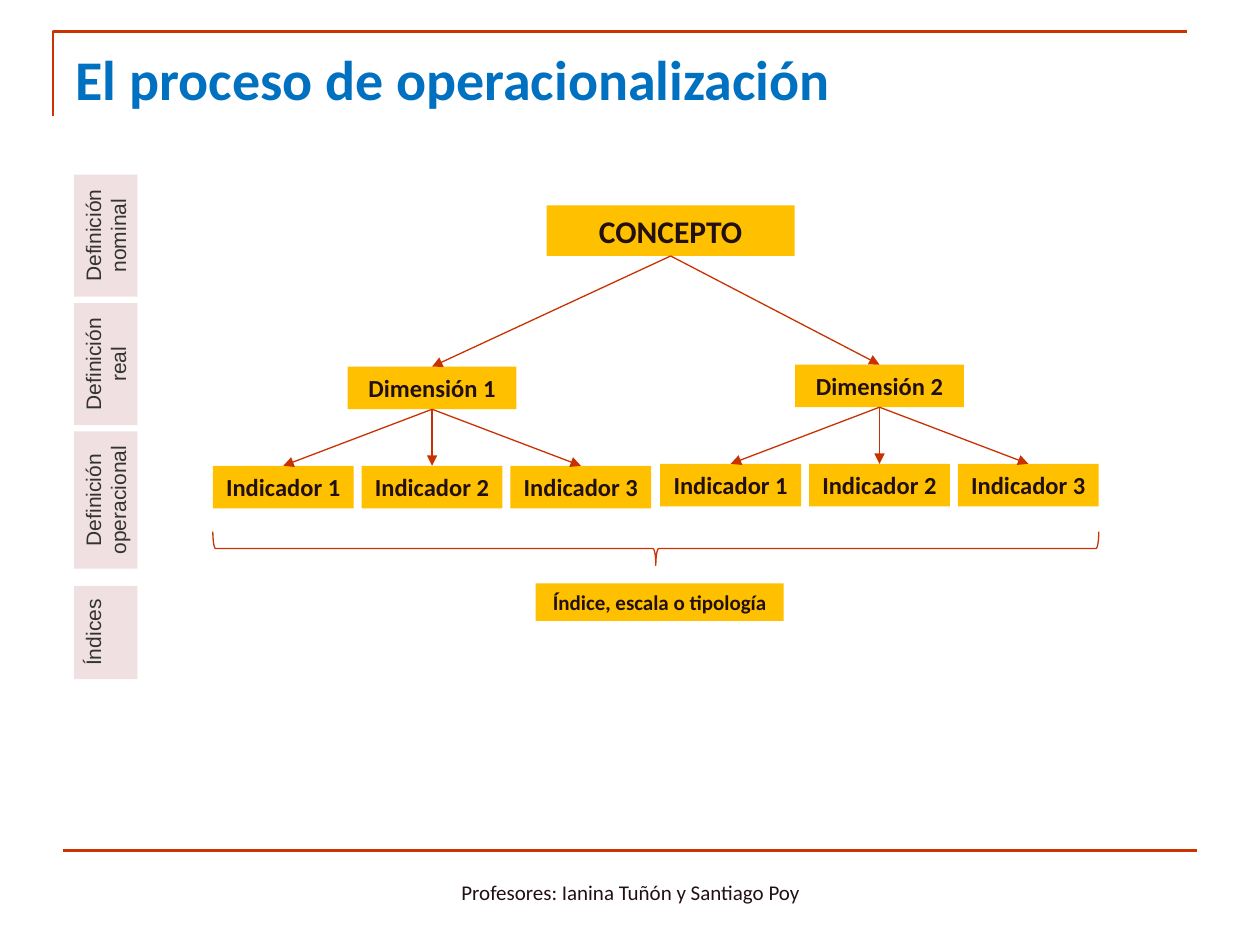
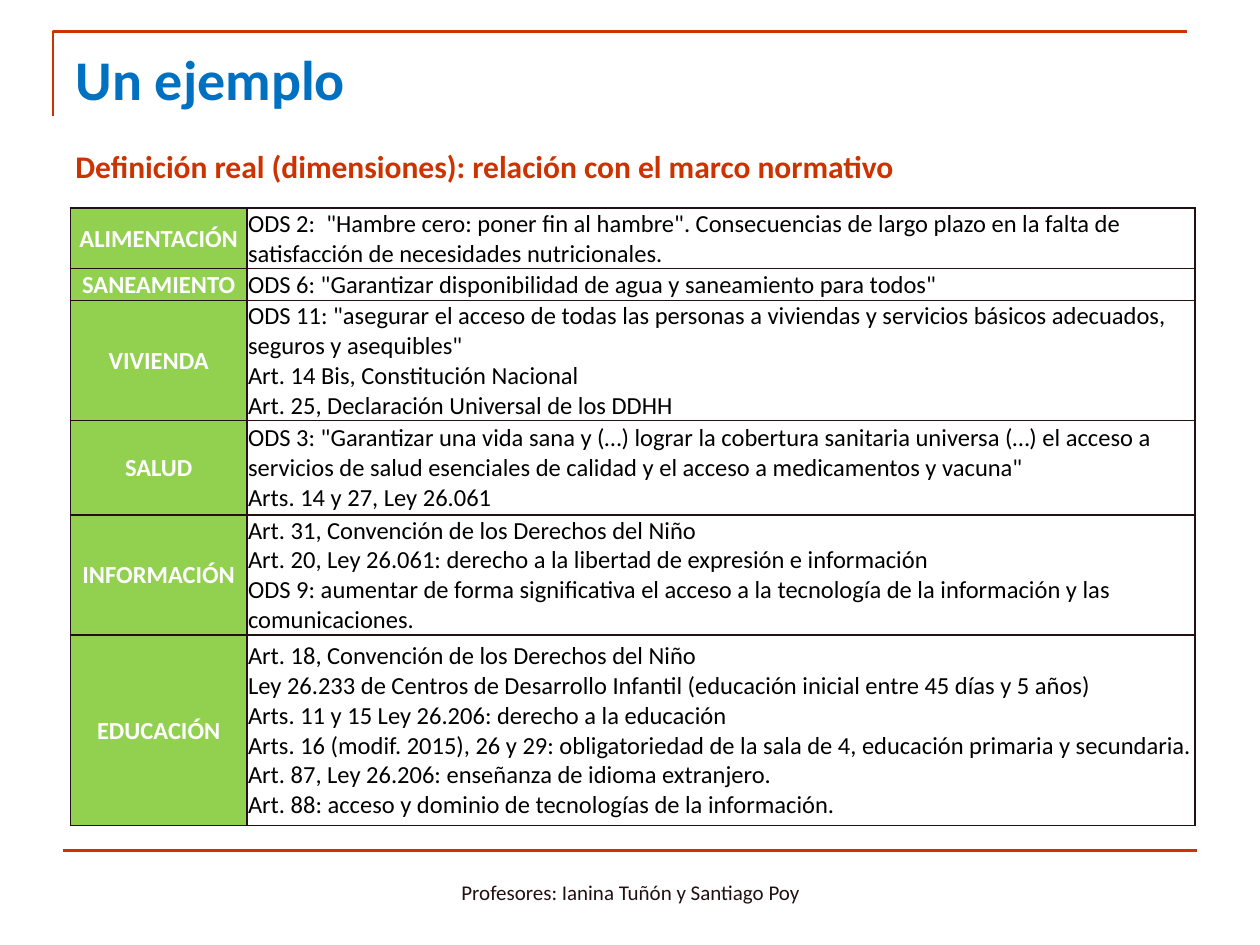
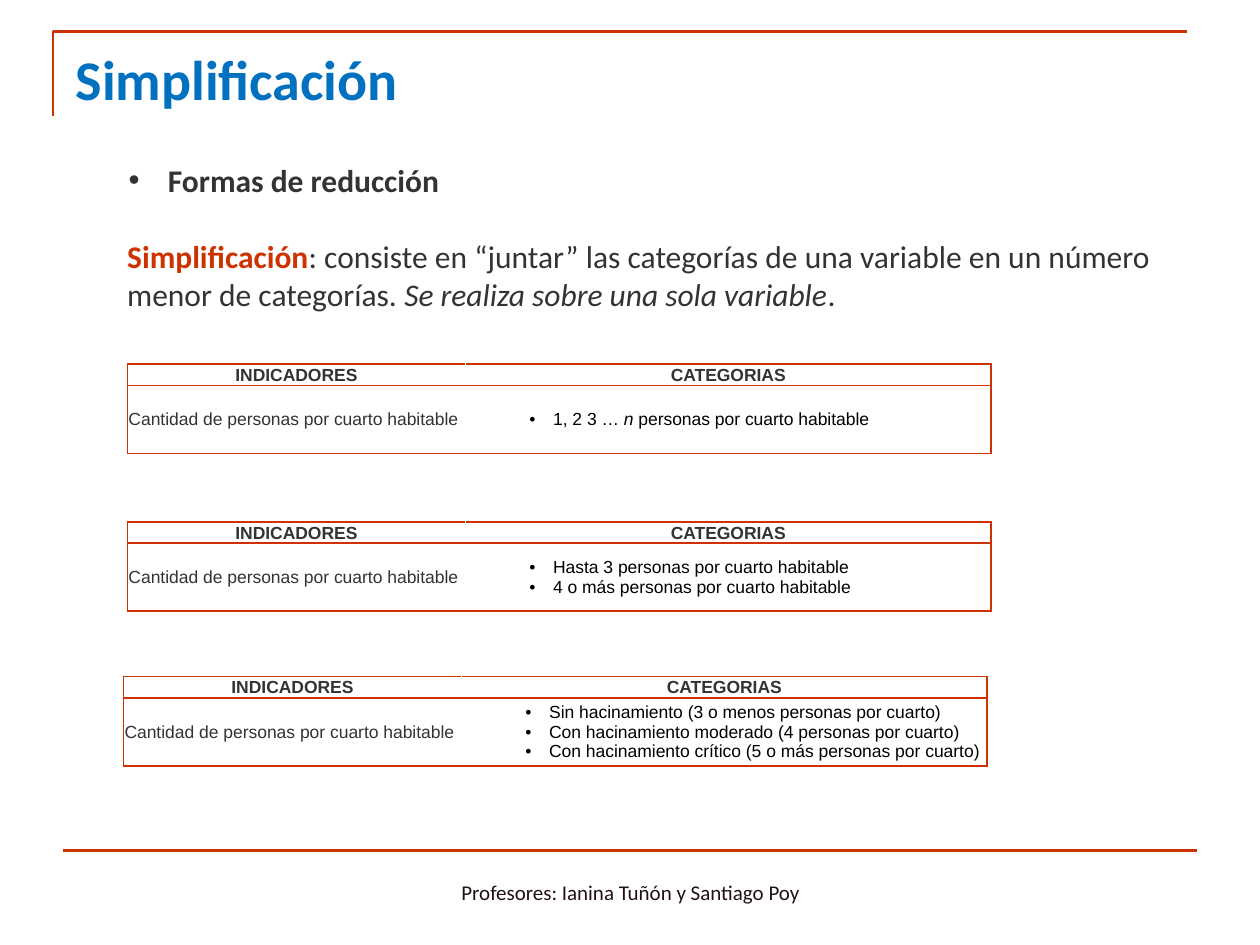
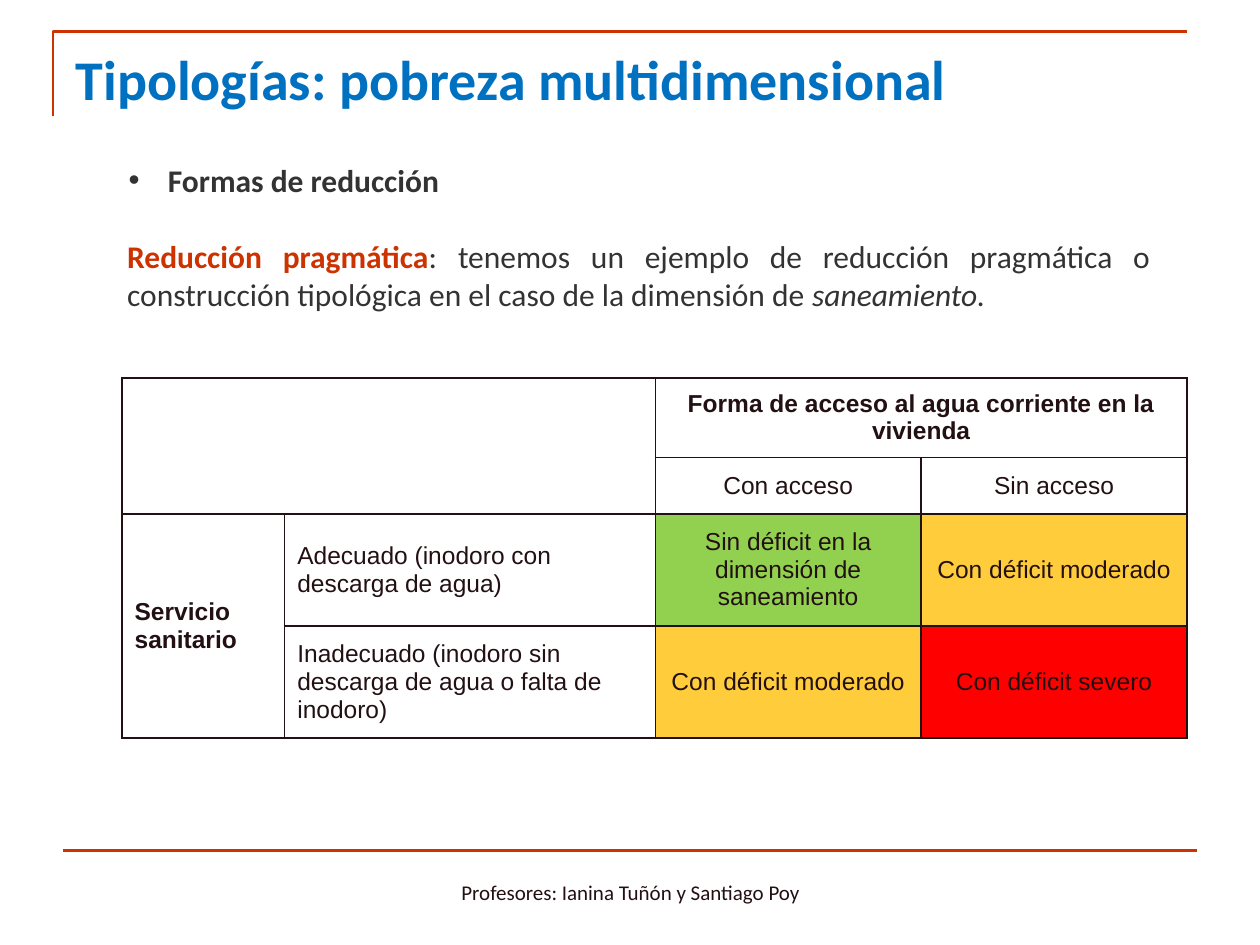
import copy

from pptx import Presentation
from pptx import util as u
from pptx.dml.color import RGBColor
from pptx.enum import shapes, text
from pptx.oxml import parse_xml
from pptx.oxml.ns import nsdecls, qn

# Shared look
RED = RGBColor(0xCC, 0x33, 0x00)
ARROW_RED = RGBColor(0xC8, 0x32, 0x00)
BLUE = RGBColor(0x00, 0x70, 0xC0)
DARK = RGBColor(0x22, 0x10, 0x13)
GREY = RGBColor(0x33, 0x33, 0x33)
BLACK = RGBColor(0, 0, 0)
WHITE = RGBColor(0xFF, 0xFF, 0xFF)
GOLD = RGBColor(0xFF, 0xC0, 0x00)
AMBER = RGBColor(0xFF, 0xCD, 0x3C)
GREEN = RGBColor(0x92, 0xD0, 0x50)
ALERT = RGBColor(0xFF, 0, 0)
PINK = RGBColor(0xF0, 0xE0, 0xE2)
LEFT, CENTER, JUSTIFY = (text.PP_ALIGN.LEFT, text.PP_ALIGN.CENTER,
                         text.PP_ALIGN.JUSTIFY)
MIDDLE, TOP = text.MSO_ANCHOR.MIDDLE, text.MSO_ANCHOR.TOP

TITLE = dict(name="Calibri", size=32, bold=True, color=BLUE)
SUBTITLE = dict(name="Calibri", size=18, bold=True, color=RED)
BODY = dict(name="Calibri", size=18, bold=False, color=GREY)
FOOTER = dict(name="Calibri", size=12, color=DARK)
NODE = dict(name="Calibri", size=14, bold=True, color=DARK)
STEP = dict(name="Arial", size=12, color=GREY)
NORM = dict(name="Calibri", size=14, bold=False, color=BLACK)
SMALL = dict(name="Arial", size=10, bold=False, color=GREY)
GRID = dict(name="Arial", size=14, bold=False, color=DARK)
STRONG, ITALIC = dict(bold=True), dict(italic=True)
KEYWORD = dict(bold=True, color=RED)

# Content, lengths in centimetres
TITLES = ["El proceso de operacionalización", "Un ejemplo", "Simplificación",
          "Tipologías: pobreza multidimensional"]
FOOTER_TEXT = "Profesores: Ianina Tuñón y Santiago Poy"

STEPS = [  # lines, centre y, length
    (["Definición", "nominal"], 4.75, 2.46),
    (["Definición", "real"], 7.34, 2.46),
    (["Definición", "operacional"], 10.08, 2.77),
    (["Índices"], 12.75, 1.88),
]
DIMENSIONS = [("Dimensión 1", 8.71, 7.39), ("Dimensión 2", 17.73, 7.35)]
INDICATORS = ["Indicador 1", "Indicador 2", "Indicador 3"]

SUBTITLE_TEXT = "Definición real (dimensiones): relación con el marco normativo"
NORMS = [  # dimension, rules, row height
    ("ALIMENTACIÓN", "ODS 2:  \"Hambre cero: poner fin al hambre\". Consecuencias de "
     "largo plazo en la falta de satisfacción de necesidades nutricionales.", 1.19),
    ("SANEAMIENTO", "ODS 6: \"Garantizar disponibilidad de agua y saneamiento "
     "para todos\"", 0.64),
    ("VIVIENDA", "ODS 11: \"asegurar el acceso de todas las personas a viviendas y "
     "servicios básicos adecuados, seguros y asequibles\"\n"
     "Art. 14 Bis, Constitución Nacional\n"
     "Art. 25, Declaración Universal de los DDHH", 2.39),
    ("SALUD", "ODS 3: \"Garantizar una vida sana y (…) lograr la cobertura sanitaria "
     "universa (…) el acceso a servicios de salud esenciales de calidad y el acceso "
     "a medicamentos y vacuna\"\nArts. 14 y 27, Ley 26.061", 1.9),
    ("INFORMACIÓN", "Art. 31, Convención de los Derechos del Niño\n"
     "Art. 20, Ley 26.061: derecho a la libertad de expresión e información\n"
     "ODS 9: aumentar de forma significativa el acceso a la tecnología de la "
     "información y las comunicaciones.", 2.39),
    ("EDUCACIÓN", "Art. 18, Convención de los Derechos del Niño\n"
     "Ley 26.233 de Centros de Desarrollo Infantil (educación inicial entre 45 días "
     "y 5 años)\n"
     "Arts. 11 y 15 Ley 26.206: derecho a la educación\n"
     "Arts. 16 (modif. 2015), 26 y 29: obligatoriedad de la sala de 4, educación "
     "primaria y secundaria.\n"
     "Art. 87, Ley 26.206: enseñanza de idioma extranjero.\n"
     "Art. 88: acceso y dominio de tecnologías de la información.", 3.84),
]

REDUCTION = [("Formas de reducción", STRONG)]
SIMPLIFYING = [
    ("Simplificación", KEYWORD),
    (": consiste en “juntar” las categorías de una variable en un número menor de "
     "categorías. ", {}),
    ("Se realiza sobre una sola variable", ITALIC), (".", {}),
]
PRAGMATIC = [
    ("Reducción pragmática", KEYWORD),
    (": tenemos un ejemplo de reducción pragmática o construcción tipológica en el "
     "caso de la dimensión de ", {}),
    ("saneamiento.", ITALIC),
]
CATEGORIES = [  # left, top, categories
    (2.57, 7.34, [[("1, 2 3 … ", {}), ("n", ITALIC),
                   (" personas por cuarto habitable", {})]]),
    (2.57, 10.52, ["Hasta 3 personas por cuarto habitable",
                   "4 o más personas por cuarto habitable"]),
    (2.49, 13.64, ["Sin hacinamiento (3 o menos personas por cuarto)",
                   "Con hacinamiento moderado (4 personas por cuarto)",
                   "Con hacinamiento crítico (5 o más personas por cuarto)"]),
]
TYPOLOGY = [  # row, column, words, alignment, fill, bold
    (0, 2, "Forma de acceso al agua corriente en la vivienda", CENTER, WHITE, True),
    (1, 2, "Con acceso", CENTER, WHITE, False),
    (1, 3, "Sin acceso", CENTER, WHITE, False),
    (2, 0, "Servicio sanitario", LEFT, WHITE, True),
    (2, 1, "Adecuado (inodoro con descarga de agua)", LEFT, WHITE, False),
    (2, 2, "Sin déficit en la dimensión de saneamiento", CENTER, GREEN, False),
    (2, 3, "Con déficit moderado", CENTER, AMBER, False),
    (3, 1, "Inadecuado (inodoro sin descarga de agua o falta de inodoro)",
     LEFT, WHITE, False),
    (3, 2, "Con déficit moderado", CENTER, AMBER, False),
    (3, 3, "Con déficit severo", CENTER, ALERT, False),
]
MERGES = [((0, 0), (1, 1)), ((0, 2), (0, 3)), ((2, 0), (3, 0))]


def cm(*lengths):
    return [u.Cm(length) for length in lengths]


# Text
def style(font, values):
    for key, value in values.items():
        if key == "color":
            font.color.rgb = value
        else:
            setattr(font, key, u.Pt(value) if key == "size" else value)


def indent(para, margin, first, bullet):
    para.level = 1
    props = para._p.get_or_add_pPr()
    props.set("marL", str(u.Cm(margin)))
    props.set("indent", str(u.Cm(first)))
    mark = '<a:buChar %s char="•"/>' if bullet else "<a:buNone %s/>"
    if bullet:
        props.append(parse_xml('<a:buFont %s typeface="Arial"/>' % nsdecls("a")))
    props.append(parse_xml(mark % nsdecls("a")))


def write(frame, paragraphs, look, align=LEFT, indents=None):
    """Each paragraph is a string or a list of (words, changes to the look)."""
    for index, spans in enumerate(paragraphs):
        para = frame.add_paragraph() if index else frame.paragraphs[0]
        if indents:
            indent(para, *indents[index])
        para.alignment = align
        para.space_before = u.Pt(0)
        for words, changes in [(spans, {})] if isinstance(spans, str) else spans:
            for number, line in enumerate(words.split("\n")):
                if number:
                    para.add_line_break()
                span = para.add_run()
                span.text = line
                style(span.font, {**look, **changes})
        for line_break in para._p.findall(qn("a:br")):
            line_break.append(copy.deepcopy(span._r.rPr))


def place(box, *lengths):
    box.left, box.top, box.width, box.height = cm(*lengths)
    frame = box.text_frame
    frame.word_wrap = True
    frame.auto_size = text.MSO_AUTO_SIZE.NONE
    frame.vertical_anchor = TOP
    return frame


def text_box(page, *lengths):
    return place(page.shapes.add_textbox(*cm(*lengths)), *lengths)


# Shapes and lines
def label(page, middle, top, width, height, lines, look, fill=GOLD):
    box = page.shapes.add_shape(shapes.MSO_SHAPE.RECTANGLE,
                                *cm(middle - width / 2, top, width, height))
    box.shadow.inherit = False
    box.fill.solid()
    box.fill.fore_color.rgb = fill
    box.line.fill.background()
    box.text_frame.word_wrap = False
    box.text_frame.vertical_anchor = TOP
    write(box.text_frame, lines, look, CENTER)
    return box


def connect(page, start, end, color, width, arrow=False):
    line = page.shapes.add_connector(shapes.MSO_CONNECTOR.STRAIGHT,
                                     *cm(*start, *end))
    line.line.color.rgb = color
    line.line.width = u.Pt(width)
    props = line.element.spPr
    if arrow:
        props.find(qn("a:ln")).append(
            parse_xml('<a:tailEnd %s type="triangle"/>' % nsdecls("a")))
    props.append(parse_xml("<a:effectLst %s/>" % nsdecls("a")))
    return line


# Tables
def add_table(page, left, top, columns, rows):
    table = page.shapes.add_table(
        len(rows), len(columns),
        *cm(left, top, sum(columns), sum(rows))).table
    table.first_row = table.horz_banding = False
    for column, width in zip(table.columns, columns):
        column.width = u.Cm(width)
    for row, height in zip(table.rows, rows):
        row.height = u.Cm(height)
    return table


def format_cell(cell, fill, color, sides="LRTB", tight=True):
    props = cell._tc.get_or_add_tcPr()
    for side in sides:
        props.append(parse_xml(
            f'<a:ln{side} {nsdecls("a")} w="12700"><a:solidFill>'
            f'<a:srgbClr val="{color}"/></a:solidFill></a:ln{side}>'))
    cell.fill.solid()
    cell.fill.fore_color.rgb = fill
    cell.vertical_anchor = MIDDLE
    if tight:
        cell.margin_left = cell.margin_right = cell.margin_top = u.Cm(0.02)
        cell.margin_bottom = 0


# Slides
def draw_master_frame(deck, page):
    """Draw the red frame once and hand it to the slide master."""
    outline = page.shapes.build_freeform(*cm(1.07, 2.34))
    outline.add_line_segments([cm(1.07, 0.64), cm(23.93, 0.64)], close=False)
    corner = outline.convert_to_shape()
    corner.shadow.inherit = False
    corner.fill.background()
    corner.line.color.rgb = RED
    corner.line.width = u.Pt(1.5)
    rule = connect(page, (1.27, 17.15), (24.13, 17.15), RED, 1.5)
    for number, part in enumerate((corner, rule), 101):
        part.element.xpath(".//p:cNvPr")[0].set("id", str(number))
        deck.slide_master.shapes.element.insert(2, part.element)


def draw_process(page):
    concept = (13.52, 5.16)
    label(page, concept[0], 4.14, 5, 1.02, ["CONCEPTO"], {**NODE, "size": 18})
    for name, middle, top in DIMENSIONS:
        label(page, middle, top, 3.4, 0.86, [name], NODE)
        connect(page, concept, (middle, top), ARROW_RED, 0.75, arrow=True)
        for number, indicator in enumerate(INDICATORS):
            x, y = middle + (number - 1) * 3, top + 2
            label(page, x, y, 2.84, 0.86, [indicator], NODE)
            connect(page, (middle, top + 0.86), (x, y), ARROW_RED, 0.75, arrow=True)

    # Brace under the indicators
    brace = page.shapes.add_shape(shapes.MSO_SHAPE.RIGHT_BRACE,
                                  *cm(12.88, 2.13, 0.68, 17.86))
    brace.rotation = 90
    brace.shadow.inherit = False
    brace.fill.background()
    brace.line.color.rgb = RED
    brace.line.width = u.Pt(0.75)
    label(page, 13.3, 11.76, 5, 0.76, ["Índice, escala o tipología"],
          {**NODE, "size": 12})

    # Steps on the left edge
    for lines, middle, length in STEPS:
        step = label(page, 2.13, middle - 0.64, length, 1.28, lines, STEP, PINK)
        step.rotation = 270


def draw_norms(page):
    write(text_box(page, 1.27, 2.84, 20.55, 1.02), [SUBTITLE_TEXT], SUBTITLE, JUSTIFY)
    table = add_table(page, 1.42, 4.19, [3.56, 19.11], [row[2] for row in NORMS])
    for index, (name, rules, _) in enumerate(NORMS):
        head, cell = table.cell(index, 0), table.cell(index, 1)
        format_cell(head, GREEN, DARK)
        format_cell(cell, WHITE, DARK)
        write(head.text_frame, [name], {**NORM, "bold": True, "color": WHITE}, CENTER)
        write(cell.text_frame, [rules], NORM)


def draw_reduction(page, definition):
    frame = place(page.placeholders[1], 1.83, 3.12, 21.62, 3.33)
    write(frame, [REDUCTION, definition], BODY, JUSTIFY,
          [(1.3, -0.79, True), (0.48, 0, False)])
    frame.paragraphs[1].space_before = u.Pt(22)


def draw_categories(page):
    for left, top, categories in CATEGORIES:
        table = add_table(page, left, top, [6.81, 10.6], [0.43, 1.37])
        for row in table.rows:
            for cell, sides in zip(row.cells, ("LTB", "RTB")):
                format_cell(cell, WHITE, RED, sides)
        for column, heading in enumerate(("INDICADORES", "CATEGORIAS")):
            write(table.cell(0, column).text_frame, [heading],
                  {**SMALL, "bold": True}, CENTER)
        write(table.cell(1, 0).text_frame,
              ["Cantidad de personas por cuarto habitable"], SMALL, JUSTIFY)
        write(table.cell(1, 1).text_frame, categories, {**SMALL, "color": BLACK},
              JUSTIFY, [(1.75, -0.48, True)] * len(categories))


def draw_typology(page):
    table = add_table(page, 2.46, 7.62, [3.28, 7.47, 5.36, 5.36],
                      [1.6, 1.14, 2.26, 2.26])
    fills = {(row, column): fill for row, column, _, _, fill, _ in TYPOLOGY}
    for row in range(4):
        for column in range(4):
            format_cell(table.cell(row, column), fills.get((row, column), WHITE),
                        DARK, tight=False)
    for first, last in MERGES:
        table.cell(*first).merge(table.cell(*last))
    for row, column, words, align, _, bold in TYPOLOGY:
        write(table.cell(row, column).text_frame, [words],
              {**GRID, "bold": bold}, align)


def main():
    deck = Presentation()
    deck.slide_width, deck.slide_height = cm(25.4, 19.05)
    title_only, title_body = deck.slide_layouts[5], deck.slide_layouts[1]
    layouts = [title_only, title_only, title_body, title_body]
    pages = [deck.slides.add_slide(layout) for layout in layouts]
    draw_master_frame(deck, pages[0])
    for page, title in zip(pages, TITLES):
        write(place(page.shapes.title, 1.27, 0.76, 23.42, 1.55), [title], TITLE)

    process, norms, simplification, typology = pages
    draw_process(process)
    draw_norms(norms)
    draw_reduction(simplification, SIMPLIFYING)
    draw_categories(simplification)
    draw_reduction(typology, PRAGMATIC)
    draw_typology(typology)

    for page in pages:
        footer = text_box(page, 8.69, 17.35, 8.05, 1.27)
        footer.vertical_anchor = MIDDLE
        write(footer, [FOOTER_TEXT], FOOTER, CENTER)
    deck.save("out.pptx")


if __name__ == "__main__":
    main()
